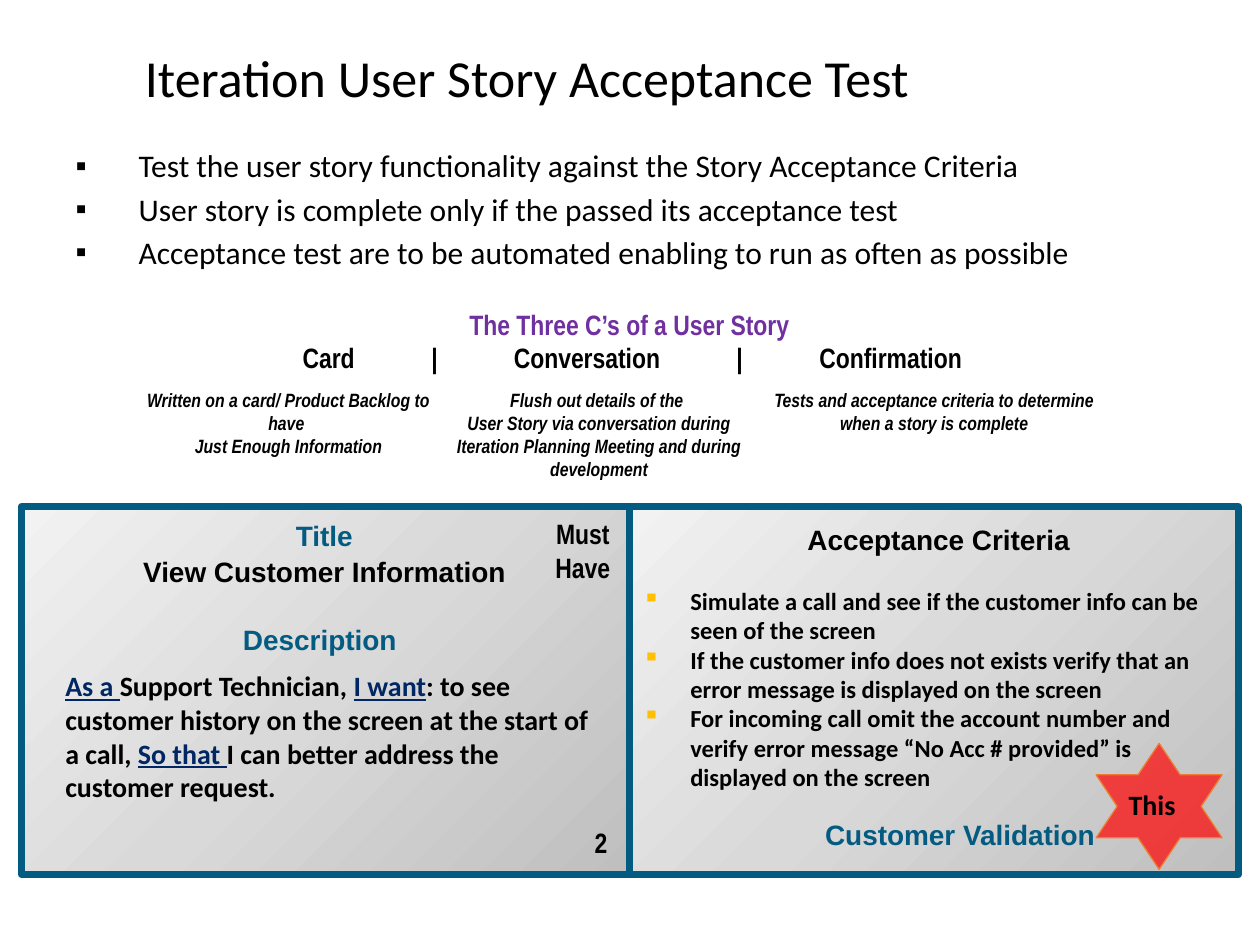
from copy import deepcopy
from dataclasses import dataclass
from typing import Optional

from lxml import etree
from pptx import Presentation
from pptx.dml.color import RGBColor
from pptx.enum.shapes import MSO_SHAPE
from pptx.enum.text import MSO_ANCHOR, MSO_AUTO_SIZE, PP_ALIGN
from pptx.oxml.ns import qn
from pptx.util import Inches, Pt

LEFT, CENTER = PP_ALIGN.LEFT, PP_ALIGN.CENTER
MIDDLE, TOP = MSO_ANCHOR.MIDDLE, MSO_ANCHOR.TOP
NO_FIT, GROW = MSO_AUTO_SIZE.NONE, MSO_AUTO_SIZE.SHAPE_TO_FIT_TEXT
RECTANGLE, STAR = MSO_SHAPE.RECTANGLE, MSO_SHAPE.STAR_6_POINT

COLORS = {
    "text": "000000", "teal": "045B81", "purple": "7030A0", "navy": "002663",
    "gold": "FFC000", "red": "FF0000", "orange": "ED7D31",
}
CARD_GRADIENT = [(0, "BFBFBF"), (0.5, "D9D9D9"), (1, "F2F2F2")]


@dataclass
class Style:
    font: str
    size: float
    color: str = "text"
    bold: bool = True
    italic: bool = False
    underline: bool = False


@dataclass
class Label:
    text: str
    box: tuple
    style: Style
    align: PP_ALIGN = LEFT
    space_before: Optional[float] = None
    margin: float = 0
    wrap: bool = True


HEADING = Style("Arial", 16, "teal")
CARD_TITLE = Style("Arial", 16)
NARROW = Style("Arial Narrow", 16)
NOTE = Style("Arial Narrow", 11, italic=True)
STORY = Style("Calibri", 16)
KEYWORD = Style("Calibri", 16, "navy", underline=True)
CRITERION = Style("Calibri", 14)
TITLE = Style("Calibri", 29.7, bold=False)
BODY = Style("Calibri", 18, bold=False)


def rgb(name: str) -> RGBColor:
    return RGBColor.from_string(COLORS[name])


def place(shape, box: tuple) -> None:
    shape.left, shape.top, shape.width, shape.height = map(Inches, box)


def add_run(paragraph, text: str, style: Style) -> None:
    run = paragraph.add_run()
    run.text = text
    font = run.font
    font.name, font.size = style.font, Pt(style.size)
    font.bold, font.italic, font.underline = style.bold, style.italic, style.underline
    font.color.rgb = rgb(style.color)


def add_text_frame(slide, box: tuple, wrap: bool = True):
    frame = slide.shapes.add_textbox(*map(Inches, box)).text_frame
    frame.word_wrap = wrap
    frame.auto_size = GROW
    return frame


def add_label(slide, label: Label) -> None:
    frame = add_text_frame(slide, label.box, label.wrap)
    paragraph = frame.paragraphs[0]
    paragraph.alignment = label.align
    if label.space_before:
        frame.auto_size = NO_FIT
        paragraph.space_before = Pt(label.space_before)
        paragraph._p.get_or_add_pPr().set("marL", str(Inches(label.margin)))
    for index, line in enumerate(label.text.split("\n")):
        if index:
            paragraph.add_line_break()
        add_run(paragraph, line, label.style)


def add_bullets(frame, items: list, style: Style, indent: float, bullet_color: str,
                line_spacing: float = 1, space_before: float = 0) -> None:
    for index, item in enumerate(items):
        paragraph = frame.add_paragraph() if index else frame.paragraphs[0]
        paragraph.alignment = LEFT
        paragraph.line_spacing = line_spacing
        paragraph.space_before = Pt(space_before)
        properties = paragraph._p.get_or_add_pPr()
        properties.set("marL", str(Inches(indent)))
        properties.set("indent", str(-Inches(indent)))
        color = etree.SubElement(properties, qn("a:buClr"))
        etree.SubElement(color, qn("a:srgbClr"), val=COLORS[bullet_color])
        etree.SubElement(properties, qn("a:buChar"), char="▪")
        add_run(paragraph, item, style)


def add_card(slide, left: float) -> None:
    card = slide.shapes.add_shape(RECTANGLE, *map(Inches, (left, 4.02, 4.83, 2.92)))
    card.shadow.inherit = False
    card.line.color.rgb, card.line.width = rgb("teal"), Pt(4)
    card.fill.gradient()
    card.fill.gradient_angle = 135
    stop_list = card.fill._xPr.find(".//" + qn("a:gsLst"))
    stop_list.append(deepcopy(stop_list[-1]))
    for stop, (position, color) in zip(card.fill.gradient_stops, CARD_GRADIENT):
        stop.position = position
        stop.color.rgb = RGBColor.from_string(color)


def add_three_cs(slide) -> None:
    frame = add_text_frame(slide, (0.84, 2.39, 8.31, 0.71))
    heading, columns = frame.paragraphs[0], frame.add_paragraph()
    heading.alignment, columns.alignment = CENTER, LEFT
    add_run(heading, "The Three C’s of a User Story", Style("Arial Narrow", 16, "purple"))
    add_run(columns, "\tCard\t|\tConversation\t|\tConfirmation", NARROW)
    tabs = etree.SubElement(columns._p.get_or_add_pPr(), qn("a:tabLst"))
    for position in (1.67, 2.51, 3.72, 4.93, 6.13):
        etree.SubElement(tabs, qn("a:tab"), pos=str(Inches(position)), algn="ctr")


def add_star(slide) -> None:
    star = slide.shapes.add_shape(STAR, *map(Inches, (8.7, 5.9, 1, 1)))
    star.shadow.inherit = False
    star.fill.solid()
    star.fill.fore_color.rgb = rgb("red")
    color = star.fill._xPr.find(qn("a:solidFill"))[0]
    etree.SubElement(color, qn("a:alpha"), val="70000")
    star.line.color.rgb, star.line.width = rgb("orange"), Pt(0.75)


LABELS = [
    # Notes under the three Cs
    Label("Written on a card/ Product Backlog to have \nJust Enough Information",
          (1, 3.03, 2.58, 0.47), NOTE, CENTER),
    Label("Flush out details of the \nUser Story via conversation during "
          "Iteration Planning Meeting and during development",
          (3.42, 3.03, 2.67, 0.84), NOTE, CENTER),
    Label("Tests and acceptance criteria to determine when a story is complete",
          (6, 3.03, 2.83, 0.47), NOTE, CENTER),
    # Story card
    Label("Title", (2.25, 4.07, 0.75, 0.37), HEADING),
    Label("View Customer Information", (0.5, 4.35, 4.08, 0.42), CARD_TITLE, CENTER, 7, 0.07),
    Label("Must Have", (4.25, 4.05, 0.75, 0.64), NARROW, CENTER),
    Label("Description", (1.83, 4.89, 1.58, 0.37), HEADING),
    Label("2", (4.62, 6.5, 0.38, 0.37), NARROW),
    # Acceptance card
    Label("Acceptance Criteria", (5.08, 4.1, 4.67, 0.42), CARD_TITLE, CENTER, 7, 0.07),
    Label("Customer Validation", (6.33, 6.44, 2.58, 0.37), HEADING, CENTER),
    Label("This", (8.86, 6.2, 0.66, 0.37), STORY, wrap=False),
]
STORY_RUNS = [
    ("As a ", KEYWORD), ("Support Technician, ", STORY), ("I want", KEYWORD),
    (": to see customer history on the screen at the start of a call, ", STORY),
    ("So that ", KEYWORD), ("I can better address the customer request.", STORY),
]
CRITERIA = [
    "Simulate a call and see if the customer info can be seen of the screen",
    "If the customer info does not exists verify that an error message is displayed on the screen",
    "For incoming call omit the account number and verify error message "
    "“No Acc # provided” is displayed on the screen",
]
TEST_POINTS = [
    "Test the user story functionality against the Story Acceptance Criteria",
    "User story is complete only if the passed its acceptance test",
    "Acceptance test are to be automated enabling to run as often as possible",
]


def main() -> None:
    deck = Presentation()
    deck.slide_width, deck.slide_height = Inches(10), Inches(7.5)
    slide = deck.slides.add_slide(deck.slide_layouts[1])

    # Title and bullet list
    title, body = slide.placeholders
    place(title, (1.05, 0.44, 6.52, 0.4))
    place(body, (0.5, 1.17, 9.12, 1.12))
    for placeholder, anchor in ((title, MIDDLE), (body, TOP)):
        placeholder.text_frame.auto_size = NO_FIT
        placeholder.text_frame.vertical_anchor = anchor
    heading = title.text_frame.paragraphs[0]
    heading.alignment, heading.line_spacing = LEFT, 0.9
    add_run(heading, "Iteration User Story Acceptance Test", TITLE)
    add_bullets(body.text_frame, TEST_POINTS, BODY, 0.5, "text", 0.8, 7.5)

    # Cards, star and labels
    add_three_cs(slide)
    for left in (5, 0.17):
        add_card(slide, left)
    add_star(slide)
    for label in LABELS:
        add_label(slide, label)

    # Story and its criteria
    story = add_text_frame(slide, (0.42, 5.26, 4.42, 1.18)).paragraphs[0]
    for text, style in STORY_RUNS:
        add_run(story, text, style)
    add_bullets(add_text_frame(slide, (5, 4.6, 4.75, 1.75)), CRITERIA, CRITERION, 0.38, "gold")

    deck.save("out.pptx")


if __name__ == "__main__":
    main()
